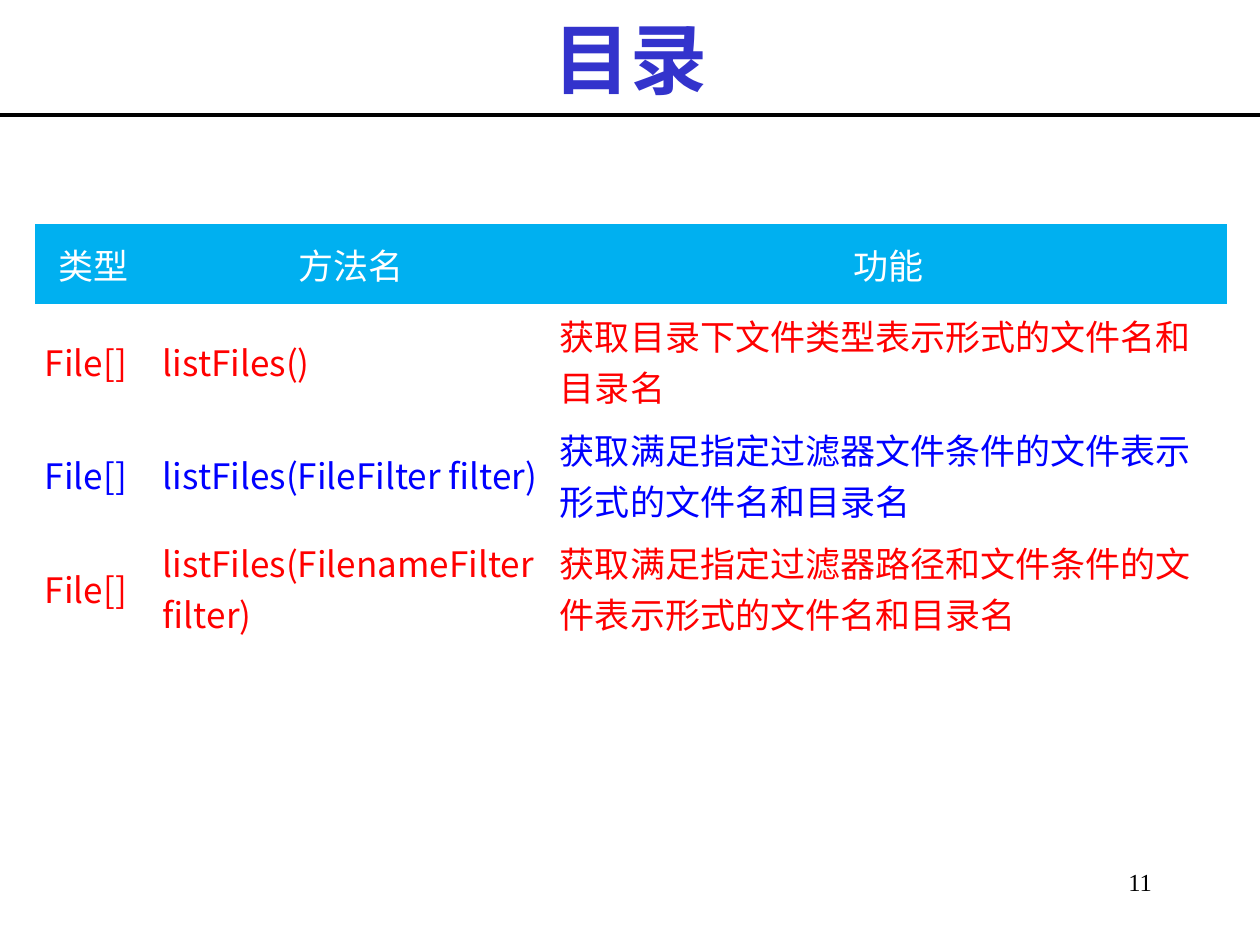
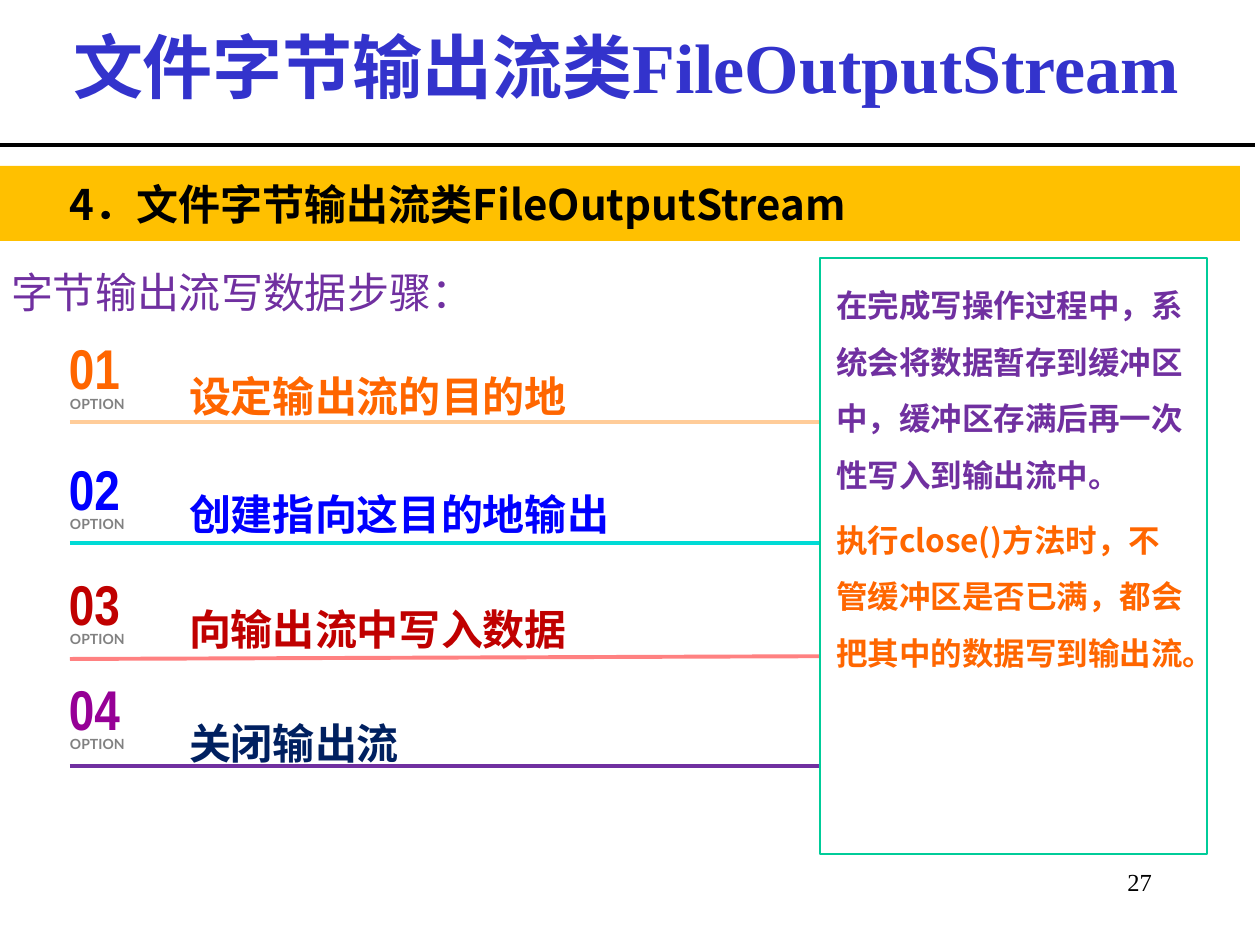
from pptx import Presentation
from pptx.dml.color import RGBColor
from pptx.enum.shapes import MSO_CONNECTOR, MSO_SHAPE
from pptx.enum.text import MSO_ANCHOR, MSO_AUTO_SIZE, PP_ALIGN
from pptx.oxml.ns import qn
from pptx.util import Emu, Pt

PX_PER_INCH = 126
SLIDE_WIDTH, SLIDE_HEIGHT = 1260, 945

BLACK = RGBColor(0x00, 0x00, 0x00)
WHITE = RGBColor(0xFF, 0xFF, 0xFF)
RED = RGBColor(0xFF, 0x00, 0x00)
BLUE = RGBColor(0x00, 0x00, 0xFF)
TITLE_BLUE = RGBColor(0x33, 0x33, 0xCC)
HEADER_BLUE = RGBColor(0x00, 0xB0, 0xF0)
GOLD = RGBColor(0xFF, 0xC0, 0x00)
PURPLE = RGBColor(0x70, 0x30, 0xA0)
MAGENTA = RGBColor(0x96, 0x00, 0x96)
ORANGE = RGBColor(0xFF, 0x66, 0x00)
PEACH = RGBColor(0xFF, 0xCC, 0x99)
CYAN = RGBColor(0x00, 0xDB, 0xD6)
DARK_RED = RGBColor(0xC0, 0x00, 0x00)
PINK = RGBColor(0xFF, 0x81, 0x81)
NAVY = RGBColor(0x00, 0x20, 0x60)
GREEN = RGBColor(0x00, 0xCC, 0x99)
GREY = RGBColor(0x81, 0x81, 0x81)

SERIF = "Times New Roman"
CJK = "Noto Sans CJK SC"
NO_STYLE_NO_GRID = "{2D5ABB26-0587-4C30-8999-92F81FD0307C}"

WIDE_INSETS = (16, 9)
TEXT_INSETS = (13, 6)
CELL_INSETS = (10, 6)

STREAM_TITLE = "文件字节输出流类FileOutputStream"
METHOD_COLUMNS = (118, 397, 677)
METHOD_ROW_HEIGHTS = (80, 108, 107, 108)
METHOD_ROWS = (
    ("类型", "方法名", "功能"),
    ("File[]", "listFiles()", "获取目录下文件类型表示形式的文件名和目录名"),
    ("File[]", "listFiles(FileFilter filter)",
     "获取满足指定过滤器文件条件的文件表示形式的文件名和目录名"),
    ("File[]", "listFiles(FilenameFilter filter)",
     "获取满足指定过滤器路径和文件条件的文件表示形式的文件名和目录名"),
)
# label, number colour, label colour, rule colour, number top, label top, rule ends
STEPS = (
    ("设定输出流的目的地", ORANGE, ORANGE, PEACH, 300, 349, (422, 422)),
    ("创建指向这目的地输出", BLUE, BLUE, CYAN, 421, 467, (543, 543)),
    ("向输出流中写入数据", DARK_RED, DARK_RED, PINK, 536, 582, (659, 655)),
    ("关闭输出流", MAGENTA, NAVY, PURPLE, 641, 696, (766, 766)),
)
BUFFER_NOTES = (
    ("在完成写操作过程中，系统会将数据暂存到缓冲区中，缓冲区存满后再一次性写入到输出流中。", PURPLE),
    ("执行close()方法时，不管缓冲区是否已满，都会把其中的数据写到输出流。", ORANGE),
)


def px(length):
    return Emu(round(length * 914400 / PX_PER_INCH))


def font_format(size, color, name=CJK, bold=False):
    return {"size": Pt(size), "name": name, "bold": bold, "color": color}


def write_paragraph(para, text, font, **layout):
    """Put one formatted run in a paragraph; layout holds paragraph attributes."""
    for attribute, value in layout.items():
        setattr(para, attribute, value)
    span = para.add_run()
    span.text = text
    for attribute, value in font.items():
        if attribute == "color":
            span.font.color.rgb = value
        else:
            setattr(span.font, attribute, value)
    properties = span.font._element
    east_asian = properties.makeelement(qn("a:ea"), {"typeface": CJK})
    properties.find(qn("a:latin")).addnext(east_asian)


def format_frame(frame, insets, anchor=MSO_ANCHOR.TOP, wrap=True):
    side, end = map(px, insets)
    values = {
        "auto_size": MSO_AUTO_SIZE.NONE, "word_wrap": wrap,
        "vertical_anchor": anchor,
        "margin_left": side, "margin_right": side,
        "margin_top": end, "margin_bottom": end,
    }
    for attribute, value in values.items():
        setattr(frame, attribute, value)


def add_text(page, bounds, text, font, insets=TEXT_INSETS,
             anchor=MSO_ANCHOR.TOP, wrap=True, **layout):
    box = page.shapes.add_textbox(*map(px, bounds))
    format_frame(box.text_frame, insets, anchor, wrap)
    write_paragraph(box.text_frame.paragraphs[0], text, font, **layout)


def add_rule(page, start, end, color):
    line = page.shapes.add_connector(MSO_CONNECTOR.STRAIGHT, *map(px, start + end))
    line.line.color.rgb = color
    line.line.width = Pt(2.25)
    properties = line._element.spPr
    properties.append(properties.makeelement(qn("a:effectLst"), {}))


def add_rectangle(page, bounds, fill, outline=None):
    box = page.shapes.add_shape(MSO_SHAPE.RECTANGLE, *map(px, bounds))
    box.shadow.inherit = False
    box.fill.solid()
    box.fill.fore_color.rgb = fill
    if outline is None:
        box.line.fill.background()
    else:
        box.line.color.rgb = outline
        box.line.width = Pt(1.5)
    return box


def add_page(deck, title, title_bounds, title_size, rule_left, rule_y, number):
    """Add a slide with the shared title, title rule and page number."""
    page = deck.slides.add_slide(deck.slide_layouts[5])
    box = page.shapes.title
    box.left, box.top, box.width, box.height = map(px, title_bounds)
    format_frame(box.text_frame, TEXT_INSETS, MSO_ANCHOR.MIDDLE)
    write_paragraph(box.text_frame.paragraphs[0], title,
                    font_format(title_size, TITLE_BLUE, SERIF, True),
                    alignment=PP_ALIGN.CENTER)
    add_rule(page, (rule_left, rule_y), (rule_left + SLIDE_WIDTH, rule_y), BLACK)
    add_text(page, (1029, 861, 136, 63), number, font_format(14, BLACK, SERIF),
             alignment=PP_ALIGN.RIGHT)
    return page


def fill_cell(cell, text, color, fill, alignment):
    cell.fill.solid()
    cell.fill.fore_color.rgb = fill
    cell.vertical_anchor = MSO_ANCHOR.MIDDLE
    cell.margin_left = cell.margin_right = px(CELL_INSETS[0])
    cell.margin_top = cell.margin_bottom = px(CELL_INSETS[1])
    write_paragraph(cell.text_frame.paragraphs[0], text, font_format(20, color),
                    alignment=alignment)


def add_method_table(page, left, top):
    frame = page.shapes.add_table(
        len(METHOD_ROWS), len(METHOD_COLUMNS), px(left), px(top),
        px(sum(METHOD_COLUMNS)), px(sum(METHOD_ROW_HEIGHTS)))
    table = frame.table
    table._tbl.tblPr.find(qn("a:tableStyleId")).text = NO_STYLE_NO_GRID
    for column, width in zip(table.columns, METHOD_COLUMNS):
        column.width = px(width)
    for index, (row, height) in enumerate(zip(table.rows, METHOD_ROW_HEIGHTS)):
        row.height = px(height)
        if index == 0:
            look = (WHITE, HEADER_BLUE, PP_ALIGN.CENTER)
        else:
            look = (RED if index % 2 else BLUE, WHITE, PP_ALIGN.LEFT)
        for cell, text in zip(row.cells, METHOD_ROWS[index]):
            fill_cell(cell, text, *look)


def add_step(page, number, label, number_color, label_color, rule_color,
             top, label_top, rule_ends):
    add_text(page, (176, label_top, 837, 78), label,
             font_format(24, label_color, "Arial", True), line_spacing=1.3)
    add_rule(page, (70, rule_ends[0]), (1162, rule_ends[1]), rule_color)
    add_text(page, (69, top, 62, 135), f"{number:02}",
             font_format(32, number_color, "Arial Narrow", True),
             insets=(0, 0), anchor=MSO_ANCHOR.MIDDLE)
    add_text(page, (57, top + 89, 81, 30), "OPTION",
             font_format(8, GREY, "Lato", True), wrap=False)


def add_note_panel(page, bounds):
    frame = add_rectangle(page, bounds, WHITE, GREEN).text_frame
    format_frame(frame, WIDE_INSETS)
    for index, (text, color) in enumerate(BUFFER_NOTES):
        para = frame.add_paragraph() if index else frame.paragraphs[0]
        write_paragraph(para, text, font_format(18, color, bold=True),
                        alignment=PP_ALIGN.LEFT, line_spacing=1.5,
                        space_before=Pt(4.5 if index else 0))


def build_directory_page(deck):
    page = add_page(deck, "目录", (95, 9, 1071, 97), 44, 0, 115, "11")
    add_method_table(page, 35, 224)


def build_stream_page(deck):
    page = add_page(deck, STREAM_TITLE, (33, 8, 1186, 115), 40, -5, 145, "27")
    add_rectangle(page, (0, 166, 1240, 75), GOLD)
    add_text(page, (54, 170, 1284, 73), "4．" + STREAM_TITLE,
             font_format(24, BLACK, bold=True), WIDE_INSETS)
    add_text(page, (-5, 258, 1091, 74), "字节输出流写数据步骤：",
             font_format(24, PURPLE), WIDE_INSETS)
    for number, step in enumerate(STEPS, 1):
        add_step(page, number, *step)
    add_note_panel(page, (820, 258, 387, 596))


def main():
    deck = Presentation()
    deck.slide_width, deck.slide_height = px(SLIDE_WIDTH), px(SLIDE_HEIGHT)
    build_directory_page(deck)
    build_stream_page(deck)
    deck.save("out.pptx")


if __name__ == "__main__":
    main()
